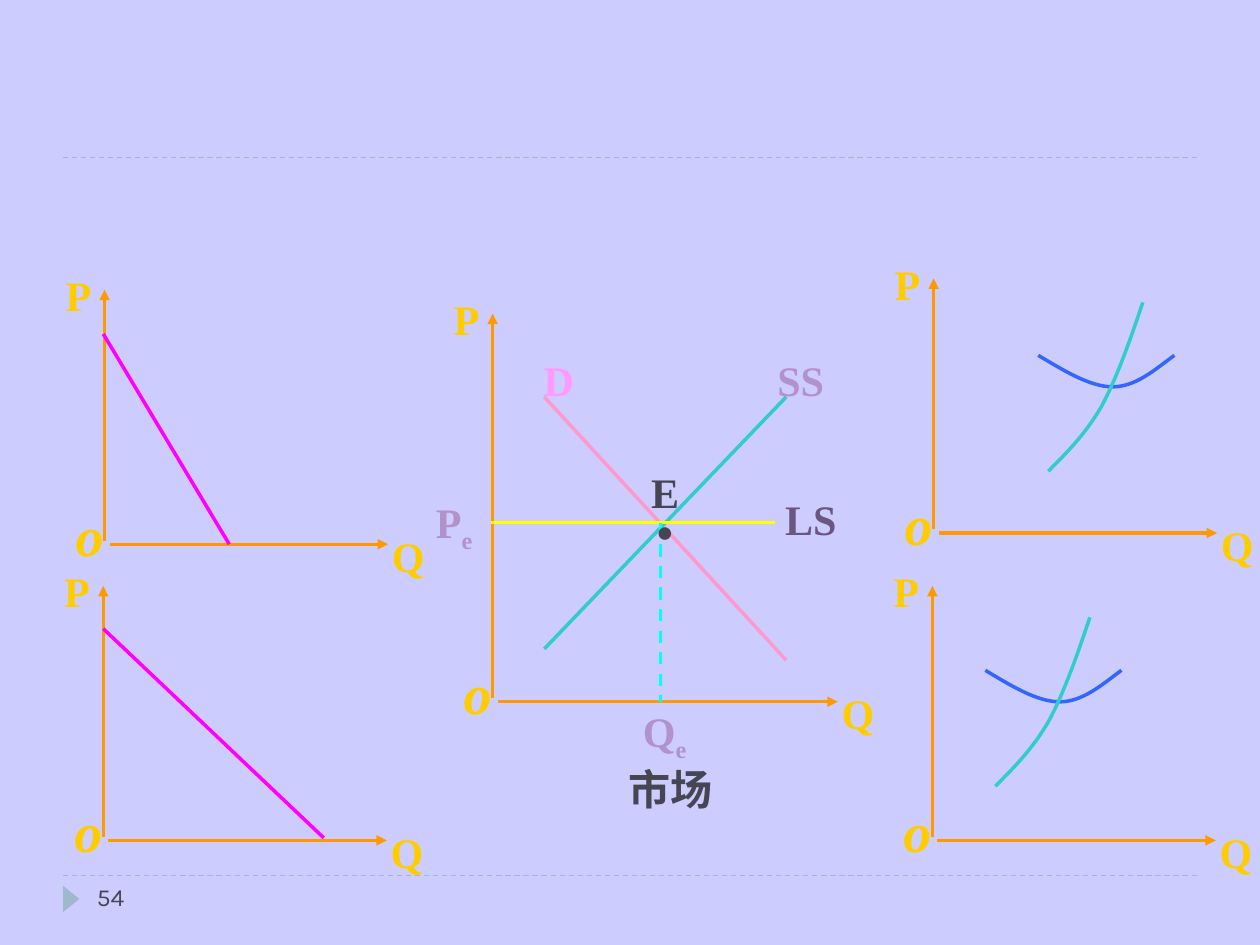
from lxml import etree
from pptx import Presentation
from pptx.dml.color import RGBColor
from pptx.enum.dml import MSO_LINE
from pptx.enum.shapes import MSO_CONNECTOR, MSO_SHAPE
from pptx.enum.text import PP_ALIGN
from pptx.oxml.ns import qn
from pptx.util import Inches, Pt

STRAIGHT = MSO_CONNECTOR.STRAIGHT
TRIANGLE = MSO_SHAPE.ISOSCELES_TRIANGLE
DASH = MSO_LINE.DASH
CENTER, LEFT = PP_ALIGN.CENTER, PP_ALIGN.LEFT
SERIF, SANS, CJK = "Times New Roman", "Karla", "Noto Sans CJK KR"
LABEL_INSETS = (0.28, 0, 0.04, 0.17)
PLAIN_INSETS = (0.1, 0.05, 0.1, 0.05)
CURVE_STEPS = 16

COLORS = {
    "background": "CCCCFF",
    "rule": "9FB8CD",
    "axis": "FF9900",
    "axis_label": "FFCC00",
    "firm_demand": "FF00FF",
    "average_cost": "3366FF",
    "supply": "33CCCC",
    "demand": "FF99CC",
    "demand_label": "FF99FF",
    "long_supply": "FFFF00",
    "quantity": "00FFFF",
    "curve_label": "B292CA",
    "long_supply_label": "6B5680",
    "text": "464653",
}


def rgb(name):
    return RGBColor.from_string(COLORS[name])


def add_line(slide, start, end, color, width=2, dash=None, arrow=False):
    points = [Inches(v) for v in (*start, *end)]
    line = slide.shapes.add_connector(STRAIGHT, *points)
    line.line.color.rgb = rgb(color)
    line.line.width = Pt(width)
    if dash:
        line.line.dash_style = dash
    if arrow:
        tail = etree.SubElement(line.line._get_or_add_ln(), qn("a:tailEnd"))
        tail.set("type", "triangle")
    etree.SubElement(line._element.spPr, qn("a:effectLst"))


def add_label(slide, text, box, color, size=24, font=SERIF, bold=True, italic=False,
              subscript="", insets=LABEL_INSETS, align=CENTER, spacing=1.4):
    frame = slide.shapes.add_textbox(*[Inches(v) for v in box]).text_frame
    frame.word_wrap = False
    (frame.margin_left, frame.margin_top,
     frame.margin_right, frame.margin_bottom) = [Inches(v) for v in insets]
    paragraph = frame.paragraphs[0]
    paragraph.text = text
    paragraph.alignment = align
    paragraph.line_spacing = spacing
    if subscript:
        lowered = paragraph.add_run()
        lowered.text = subscript
        lowered.font._element.set("baseline", "-25000")
    for run in paragraph.runs:
        run.font.size = Pt(size)
        run.font.name = font
        run.font.bold = bold
        run.font.italic = italic
        run.font.color.rgb = rgb(color)
        if font == CJK:
            etree.SubElement(run.font._element, qn("a:ea")).set("typeface", CJK)


def bezier(p0, p1, p2, p3):
    for step in range(1, CURVE_STEPS + 1):
        t = step / CURVE_STEPS
        u = 1 - t
        yield tuple(u**3 * a + 3 * u * u * t * b + 3 * u * t * t * c + t**3 * d
                    for a, b, c, d in zip(p0, p1, p2, p3))


def add_curve(slide, knots, color):
    knots = [(Inches(x), Inches(y)) for x, y in knots]
    points = [point for i in range(0, len(knots) - 1, 3)
              for point in bezier(*knots[i:i + 4])]
    builder = slide.shapes.build_freeform(*knots[0])
    builder.add_line_segments(points, close=False)
    curve = builder.convert_to_shape()
    curve.shadow.inherit = False
    curve.fill.background()
    curve.line.color.rgb = rgb(color)
    curve.line.width = Pt(2)


def add_axes(slide, x, y, width=2.25, height=2.0):
    add_line(slide, (x + 0.04, y), (x + width, y), "axis", 1.75, arrow=True)
    add_line(slide, (x, y - 0.03), (x, y - height - 0.02), "axis", 1.75, arrow=True)
    add_label(slide, "o", (x - 0.51, y - 0.56, 0.54, 0.9), "axis_label", 32, italic=True)
    add_label(slide, "Q", (x + width - 0.25, y - 0.27, 0.58, 0.73), "axis_label")
    add_label(slide, "P", (x - 0.59, y - height - 0.34, 0.52, 0.73), "axis_label")


def add_cost_curves(slide, x, y):
    average = [(0, 0), (0.2, 0.12), (0.41, 0.25), (0.59, 0.25),
               (0.77, 0.25), (0.92, 0.12), (1.08, 0)]
    marginal = [(0.08, 0.92), (0.23, 0.77), (0.37, 0.63), (0.5, 0.41),
                (0.62, 0.19), (0.73, -0.12), (0.83, -0.42)]
    for knots, color in ((average, "average_cost"), (marginal, "supply")):
        add_curve(slide, [(x + dx, y + dy) for dx, dy in knots], color)


def add_market(slide):
    add_axes(slide, 3.91, 5.57, 2.74, 3.06)
    add_line(slide, (4.32, 3.15), (6.24, 5.24), "demand")
    add_line(slide, (6.24, 3.15), (4.32, 5.15), "supply")
    add_line(slide, (3.9, 4.15), (6.15, 4.15), "long_supply", 1.75)
    add_line(slide, (5.24, 4.15), (5.24, 5.57), "quantity", 1.75, dash=DASH)
    add_label(slide, "D", (3.65, 2.65, 1.33, 0.73), "demand_label")
    add_label(slide, "SS", (5.57, 2.65, 1.33, 0.73), "curve_label")
    add_label(slide, "LS", (5.65, 3.76, 1.33, 0.73), "long_supply_label")
    add_label(slide, "P", (2.82, 3.76, 1.33, 0.81), "curve_label", subscript="e")
    add_label(slide, "Q", (4.49, 5.42, 1.33, 0.81), "curve_label", subscript="e")
    add_label(slide, "E", (5.07, 3.65, 0.42, 0.5), "text",
              insets=PLAIN_INSETS, align=LEFT, spacing=1.0)
    add_label(slide, "·", (4.9, 3.54, 0.47, 1.2), "text", 44)
    add_label(slide, "市场", (4.24, 5.9, 1.92, 0.73), "text", font=CJK)


def add_footer(slide):
    for y in (6.95, 1.25):
        add_line(slide, (0.5, y), (9.5, y), "rule", 0.75, dash=DASH)
    marker = slide.shapes.add_shape(
        TRIANGLE, Inches(0.46), Inches(7.07), Inches(0.21), Inches(0.13))
    marker.rotation = 90
    marker.shadow.inherit = False
    marker.fill.solid()
    marker.fill.fore_color.rgb = rgb("rule")
    marker.line.fill.background()
    add_label(slide, "54", (0.67, 6.95, 2.17, 0.4), "text", 14, SANS, bold=False,
              insets=PLAIN_INSETS, align=LEFT, spacing=1.0)


def main():
    deck = Presentation()
    deck.slide_width, deck.slide_height = Inches(10), Inches(7.5)
    slide = deck.slides.add_slide(deck.slide_layouts[6])
    slide.background.fill.solid()
    slide.background.fill.fore_color.rgb = rgb("background")

    add_footer(slide)
    for x, y in ((0.83, 4.32), (0.82, 6.67), (7.41, 4.23), (7.4, 6.67)):
        add_axes(slide, x, y)
    add_line(slide, (0.82, 2.65), (1.82, 4.32), "firm_demand")
    add_line(slide, (0.82, 4.99), (2.57, 6.65), "firm_demand")
    for x, y in ((8.24, 2.82), (7.82, 5.32)):
        add_cost_curves(slide, x, y)
    add_market(slide)
    deck.save("out.pptx")


if __name__ == "__main__":
    main()
